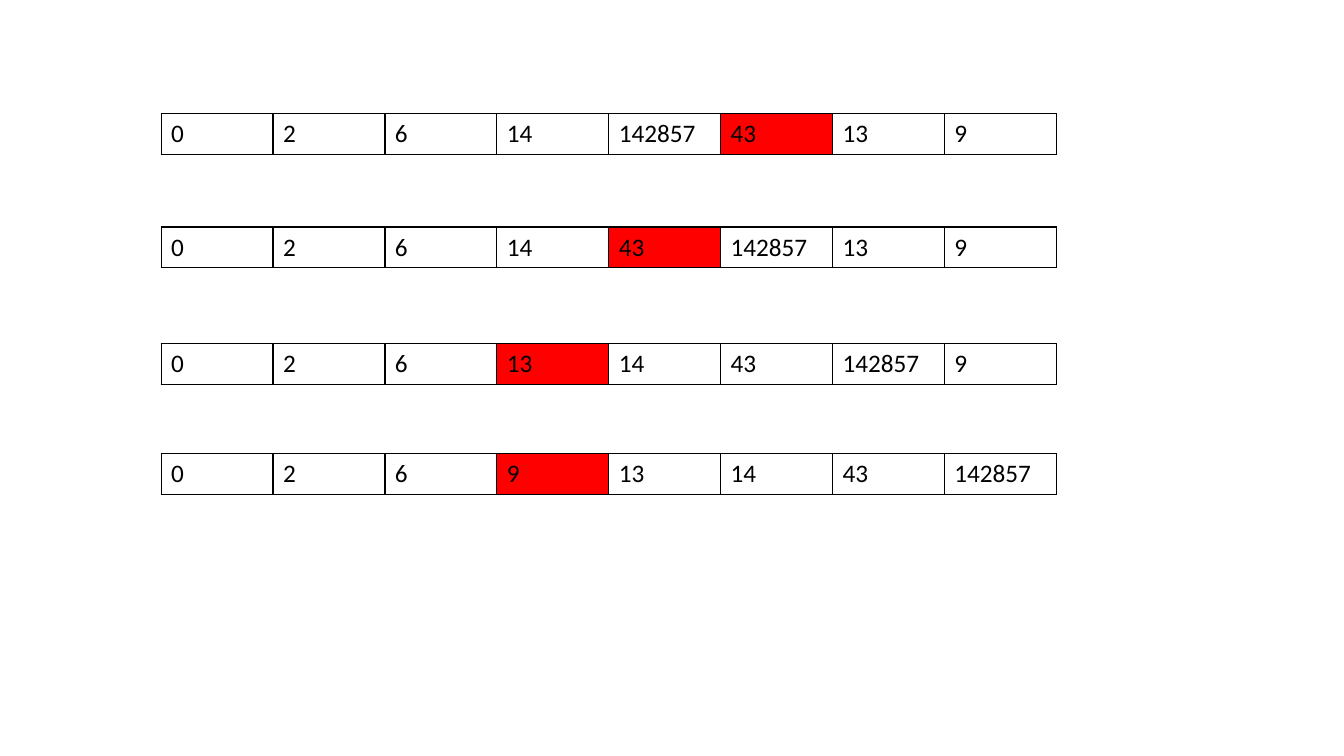
from lxml.etree import SubElement
from pptx import Presentation
from pptx.dml.color import RGBColor
from pptx.oxml.ns import qn
from pptx.util import Cm, Pt

BLACK, WHITE, RED = "000000", "FFFFFF", "FF0000"
LEFT, COLUMN_WIDTH, ROW_HEIGHT = 4.06, 2.82, 1.03

# Top in cm, values of the array, index of the element just inserted
STEPS = [
    (2.87, [0, 2, 6, 14, 142857, 43, 13, 9], 5),
    (5.72, [0, 2, 6, 14, 43, 142857, 13, 9], 4),
    (8.66, [0, 2, 6, 13, 14, 43, 142857, 9], 3),
    (11.43, [0, 2, 6, 9, 13, 14, 43, 142857], 3),
]


def color(hex_string):
    return RGBColor.from_string(hex_string)


def add_borders(cell, hex_string, width):
    properties = cell._tc.get_or_add_tcPr()
    for side in ("a:lnL", "a:lnR", "a:lnT", "a:lnB"):
        line = SubElement(properties, qn(side), w=str(Pt(width)))
        fill = SubElement(line, qn("a:solidFill"))
        SubElement(fill, qn("a:srgbClr"), val=hex_string)


def format_cell(cell, text, fill):
    add_borders(cell, BLACK, 1)
    cell.fill.solid()
    cell.fill.fore_color.rgb = color(fill)
    run = cell.text_frame.paragraphs[0].add_run()
    run.text = text
    run.font.name = "Calibri"
    run.font.size = Pt(18)
    run.font.bold = False
    run.font.color.rgb = color(BLACK)


def add_array(slide, top, values, inserted):
    width = COLUMN_WIDTH * len(values)
    table = slide.shapes.add_table(
        1, len(values), Cm(LEFT), Cm(top), Cm(width), Cm(ROW_HEIGHT)).table
    table.first_row = False
    table.horz_banding = False
    for index, value in enumerate(values):
        table.columns[index].width = Cm(COLUMN_WIDTH)
        format_cell(table.cell(0, index), str(value),
                    RED if index == inserted else WHITE)


def main():
    presentation = Presentation()
    presentation.slide_width = Cm(33.87)
    presentation.slide_height = Cm(19.05)
    slide = presentation.slides.add_slide(presentation.slide_layouts[6])

    # One array for each step of the sort
    for top, values, inserted in STEPS:
        add_array(slide, top, values, inserted)

    presentation.save("out.pptx")


if __name__ == "__main__":
    main()
